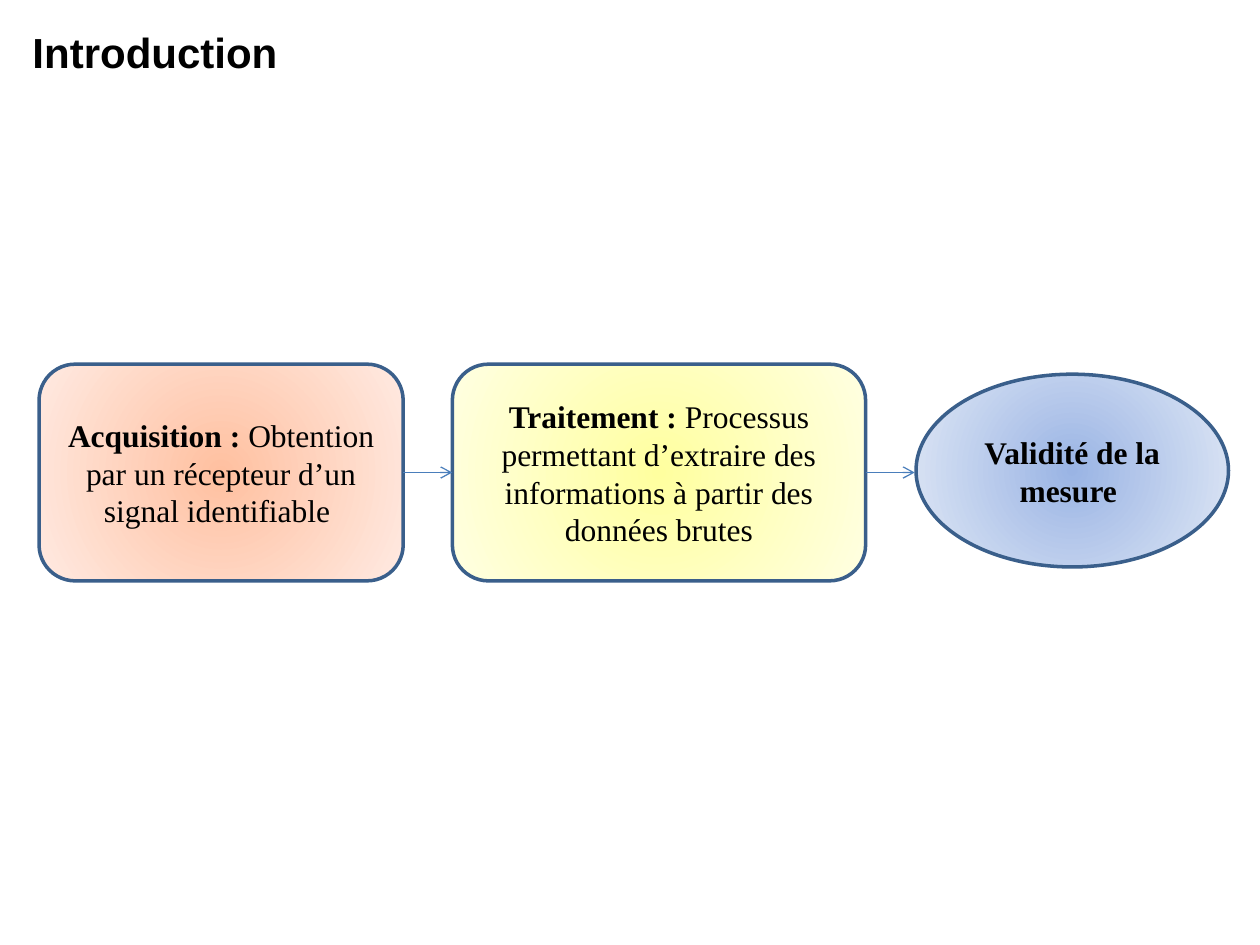
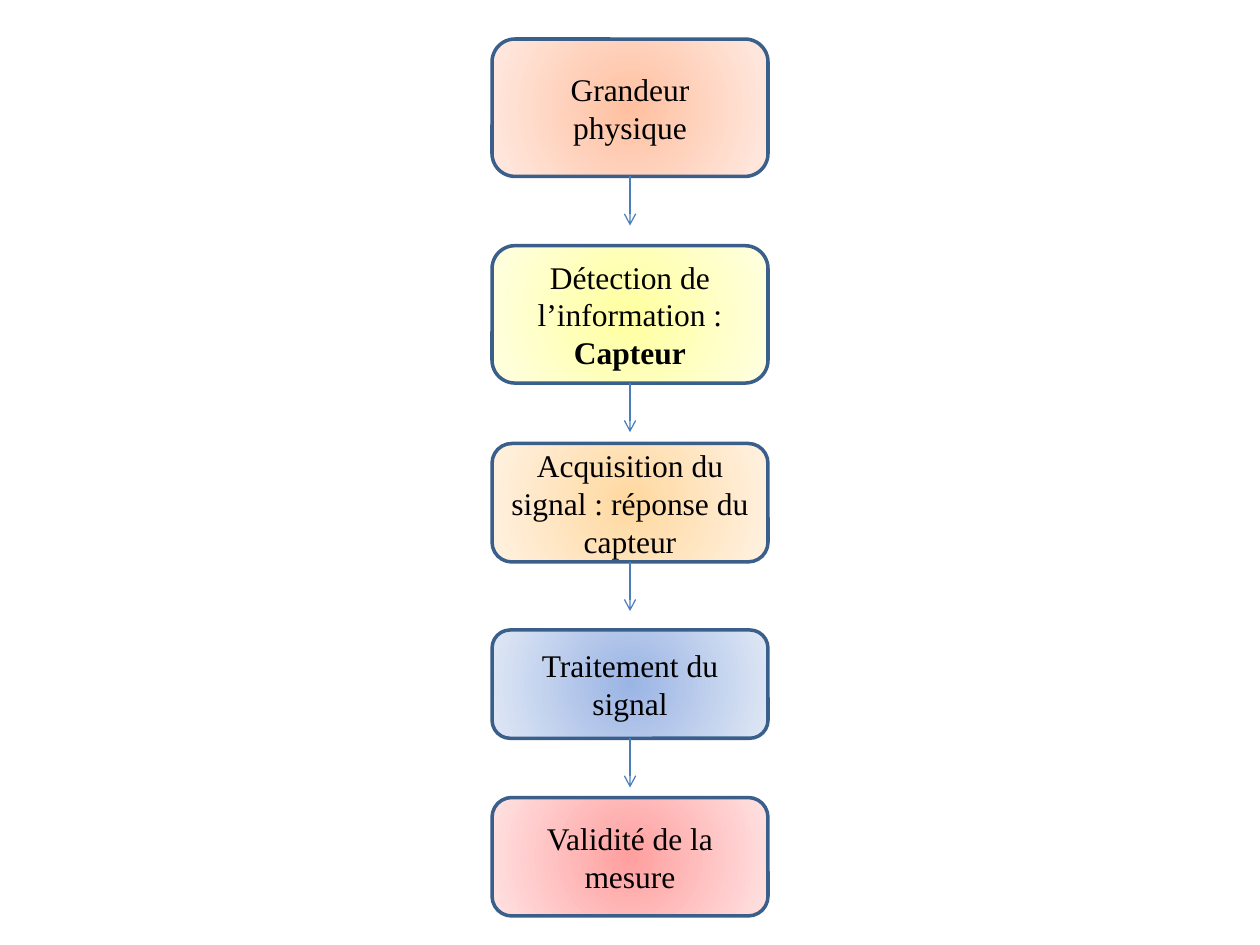
from pptx import Presentation
from pptx.dml.color import RGBColor
from pptx.enum.shapes import MSO_CONNECTOR, MSO_SHAPE
from pptx.enum.text import MSO_ANCHOR, PP_ALIGN
from pptx.oxml.ns import qn
from pptx.util import Inches, Pt
from lxml.etree import SubElement

COLORS = {"text": "000000", "edge": "3A5F8B", "arrow": "4A7EBB"}
# Centre and rim of each radial gradient
TINTS = {
    "orange": ("FFC0A0", "FFEAE2"),
    "yellow": ("FFFF9F", "FFFFE2"),
    "amber": ("FFD89F", "FFF2E2"),
    "blue": ("9AB4E4", "E0E8F5"),
    "red": ("FF9F9F", "FFE2E2"),
}
SERIF = "Times New Roman"
GAP = 0.39  # arrow length

CHAIN = [  # left, top, width, height, shape, tint, runs
    (0.31, 2.89, 2.89, 1.72, MSO_SHAPE.ROUNDED_RECTANGLE, "orange",
     [("Acquisition : ", True),
      ("Obtention par un récepteur d’un signal identifiable ", False)]),
    (3.59, 2.89, 3.28, 1.72, MSO_SHAPE.ROUNDED_RECTANGLE, "yellow",
     [("Traitement : ", True),
      ("Processus permettant d’extraire des informations à partir "
       "des données brutes", False)]),
    (7.27, 2.97, 2.48, 1.53, MSO_SHAPE.OVAL, "blue",
     [("Validité de la mesure ", True)]),
]

STEPS = [  # top, height, tint, runs
    (0.31, 1.09, "orange", [("Grandeur physique", False)]),
    (1.95, 1.09, "yellow",
     [("Détection de l’information : ", False), ("Capteur", True)]),
    (3.52, 0.94, "amber",
     [("Acquisition du signal : réponse du capteur", False)]),
    (5, 0.86, "blue", [("Traitement du signal", False)]),
    (6.33, 0.94, "red", [("Validité de la mesure", False)]),
]


def rgb(name):
    return RGBColor.from_string(COLORS[name])


def add_run(para, text, font, size, bold):
    run = para.add_run()
    run.text = text
    run.font.name = font
    run.font.size = Pt(size)
    run.font.bold = bold
    run.font.color.rgb = rgb("text")


def fill_radial(shape, tint):
    shape.fill.gradient()
    for stop, color in zip(shape.fill.gradient_stops, TINTS[tint]):
        stop.color.rgb = RGBColor.from_string(color)
    grad = shape._element.spPr.find(qn("a:gradFill"))
    grad.remove(grad.find(qn("a:lin")))
    circle = SubElement(grad, qn("a:path"), path="circle")
    SubElement(circle, qn("a:fillToRect"),
               {side: "50000" for side in "ltrb"})


def add_node(slide, left, top, width, height, kind, tint, runs):
    node = slide.shapes.add_shape(
        kind, Inches(left), Inches(top), Inches(width), Inches(height))
    node.shadow.inherit = False
    fill_radial(node, tint)
    node.line.color.rgb = rgb("edge")
    node.line.width = Pt(2)
    frame = node.text_frame
    frame.word_wrap = True
    frame.vertical_anchor = MSO_ANCHOR.MIDDLE
    para = frame.paragraphs[0]
    para.alignment = PP_ALIGN.CENTER
    for text, bold in runs:
        add_run(para, text, SERIF, 18, bold)
    return node


def add_arrow(slide, node, site, x, y, dx=0, dy=0):
    """Draw an arrow from a side of node, starting at x, y."""
    arrow = slide.shapes.add_connector(
        MSO_CONNECTOR.STRAIGHT, Inches(x), Inches(y),
        Inches(x + dx), Inches(y + dy))
    arrow.begin_connect(node, site)
    arrow.line.color.rgb = rgb("arrow")
    arrow.line.width = Pt(0.75)
    SubElement(arrow.line._get_or_add_ln(), qn("a:tailEnd"), type="arrow")
    SubElement(arrow._element.spPr, qn("a:effectLst"))
    return arrow


def add_title(slide, text):
    box = slide.shapes.add_textbox(
        Inches(0.16), Inches(0.16), Inches(5.2), Inches(0.48))
    box.text_frame.word_wrap = True
    add_run(box.text_frame.paragraphs[0], text, "Arial", 24, True)


def draw_chain(slide):
    add_title(slide, "Introduction")
    nodes = [add_node(slide, *row) for row in CHAIN]
    arrows = []
    for node, (left, top, width, height, *_) in zip(nodes[:-1], CHAIN):
        arrows.append(add_arrow(slide, node, 3, left + width,
                                top + height / 2, dx=GAP))
    arrows[0].end_connect(nodes[1], 1)


def draw_steps(slide):
    width, mid = 2.19, 5
    nodes = [add_node(slide, mid - width / 2, top, width, height,
                      MSO_SHAPE.ROUNDED_RECTANGLE, tint, runs)
             for top, height, tint, runs in STEPS]
    for node, (top, height, *_) in zip(nodes[:-1], STEPS):
        add_arrow(slide, node, 2, mid, top + height, dy=GAP)


def main():
    deck = Presentation()
    deck.slide_width, deck.slide_height = Inches(10), Inches(7.5)
    for draw in (draw_chain, draw_steps):
        draw(deck.slides.add_slide(deck.slide_layouts[6]))
    deck.save("out.pptx")


if __name__ == "__main__":
    main()
